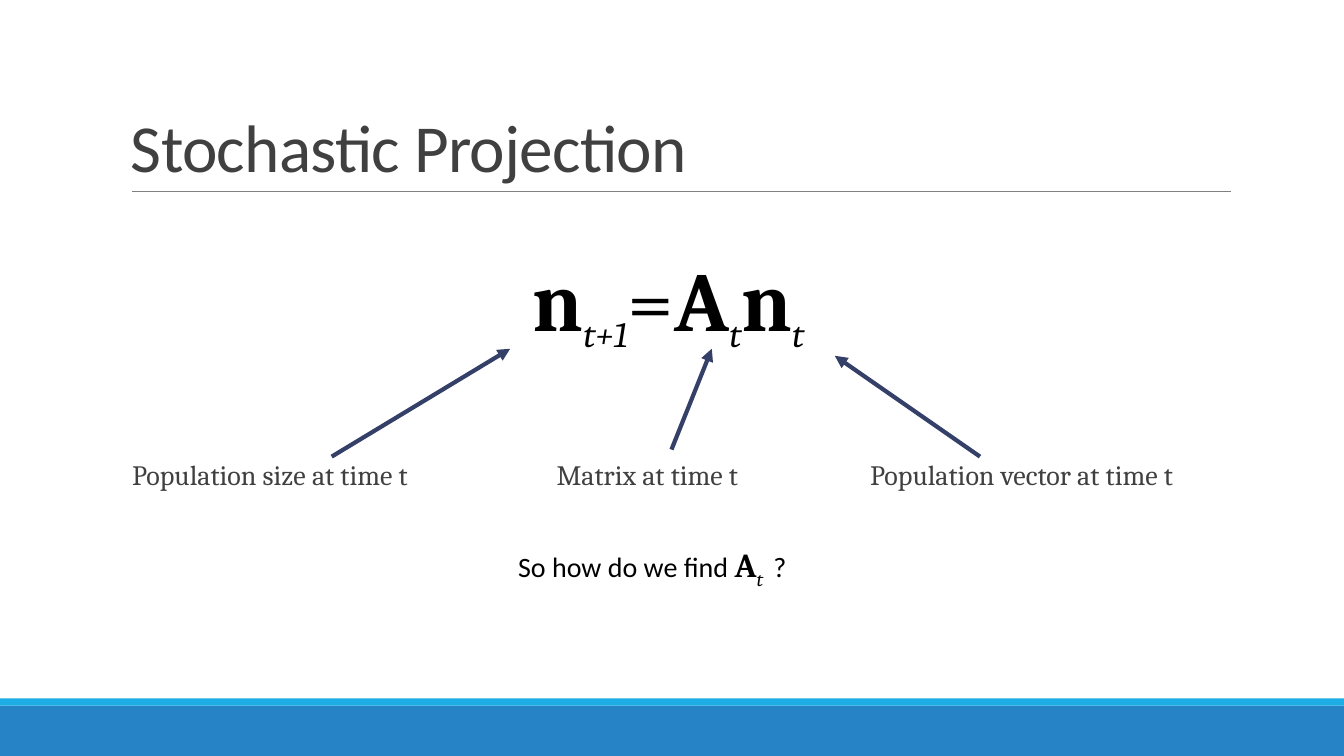
from lxml.etree import SubElement
from pptx import Presentation
from pptx.dml.color import RGBColor
from pptx.enum.shapes import MSO_CONNECTOR, MSO_SHAPE
from pptx.enum.text import MSO_ANCHOR as ANCHOR, PP_ALIGN as ALIGN
from pptx.oxml.ns import qn
from pptx.util import Inches, Pt

BLUE = RGBColor(0x26, 0x83, 0xC6)
CYAN = RGBColor(0x1C, 0xAD, 0xE4)
NAVY = RGBColor(0x34, 0x40, 0x68)
GRAY = RGBColor(0x80, 0x80, 0x80)
DARK = RGBColor(0x40, 0x40, 0x40)
BLACK = RGBColor(0, 0, 0)

TITLE = "Stochastic Projection"
EQUATION = [
    ("n", 60, "Cambria", "bold"),
    ("t+1", 44, "Cambria", "sub"),
    ("=", 60, "Cambria", ""),
    ("A", 60, "Cambria", "bold"),
    ("t", 44, "Cambria", "sub"),
    ("n", 60, "Cambria", "bold"),
    ("t", 44, "Cambria", "sub"),
]
QUESTION = [
    ("So how do we find ", 20, "Calibri", ""),
    ("A", 24, "Cambria", "bold"),
    ("t", 24, "Cambria", "sub"),
    (" ", 32, "Calibri", ""),
    ("?", 20, "Calibri", ""),
]
LABELS = [
    ("Population size at time t", 1.31),
    ("Matrix at time t", 5.52),
    ("Population vector at time t", 8.63),
]
ARROWS = [
    ((3.29, 4.53), (5.06, 3.46)),
    ((6.66, 4.46), (7.06, 3.46)),
    ((9.72, 4.53), (8.28, 3.53)),
]
BANDS = [(7, 0.5, BLUE), (6.93, 0.07, CYAN)]

presentation = Presentation()
presentation.slide_width = Inches(13.33)
presentation.slide_height = Inches(7.5)
slide = presentation.slides.add_slide(presentation.slide_layouts[6])


def add_band(top, height, color):
    shape = slide.shapes.add_shape(
        MSO_SHAPE.RECTANGLE, 0, Inches(top), presentation.slide_width, Inches(height))
    shape.shadow.inherit = False
    shape.fill.solid()
    shape.fill.fore_color.rgb = color
    shape.line.fill.background()


def add_line(start, end, color, width, arrow=False):
    points = [Inches(value) for value in (*start, *end)]
    connector = slide.shapes.add_connector(MSO_CONNECTOR.STRAIGHT, *points)
    connector.line.color.rgb = color
    connector.line.width = Pt(width)
    if arrow:
        SubElement(connector.line._get_or_add_ln(), qn("a:tailEnd"), type="triangle")
    SubElement(connector._element.spPr, qn("a:effectLst"))


def add_text(box, runs, color, anchor=ANCHOR.TOP, align=ALIGN.LEFT,
             line_spacing=1.0, side_inset=0.1, tracking=0):
    shape = slide.shapes.add_textbox(*[Inches(value) for value in box])
    frame = shape.text_frame
    frame.word_wrap = True
    frame.vertical_anchor = anchor
    frame.margin_left = frame.margin_right = Inches(side_inset)
    paragraph = frame.paragraphs[0]
    paragraph.alignment = align
    paragraph.line_spacing = line_spacing
    for text, size, font_name, style in runs:
        run = paragraph.add_run()
        run.text = text
        run.font.size = Pt(size)
        run.font.name = font_name
        run.font.color.rgb = color
        run.font.bold = style == "bold"
        run.font.italic = style == "sub"
        properties = run._r.get_or_add_rPr()
        if style == "sub":
            properties.set("baseline", "-25000")
        if tracking:
            properties.set("spc", str(tracking))


for band in BANDS:
    add_band(*band)
add_line((1.31, 1.9), (12.21, 1.9), GRAY, 0.5)
add_text((1.2, 0.31, 11, 1.59), [(TITLE, 48, "Calibri", "")], DARK,
         anchor=ANCHOR.BOTTOM, line_spacing=0.85, tracking=-50)
for label, left in LABELS:
    add_text((left, 4.53, 3.5, 0.49), [(label, 20, "Cambria", "")], DARK,
             line_spacing=0.9, side_inset=0)
add_text((4.94, 2.43, 3.38, 1.11), EQUATION, BLACK,
         anchor=ANCHOR.MIDDLE, align=ALIGN.CENTER)
for start, end in ARROWS:
    add_line(start, end, NAVY, 3, arrow=True)
add_text((5.04, 5.24, 3.24, 0.64), QUESTION, BLACK)

presentation.save("out.pptx")
